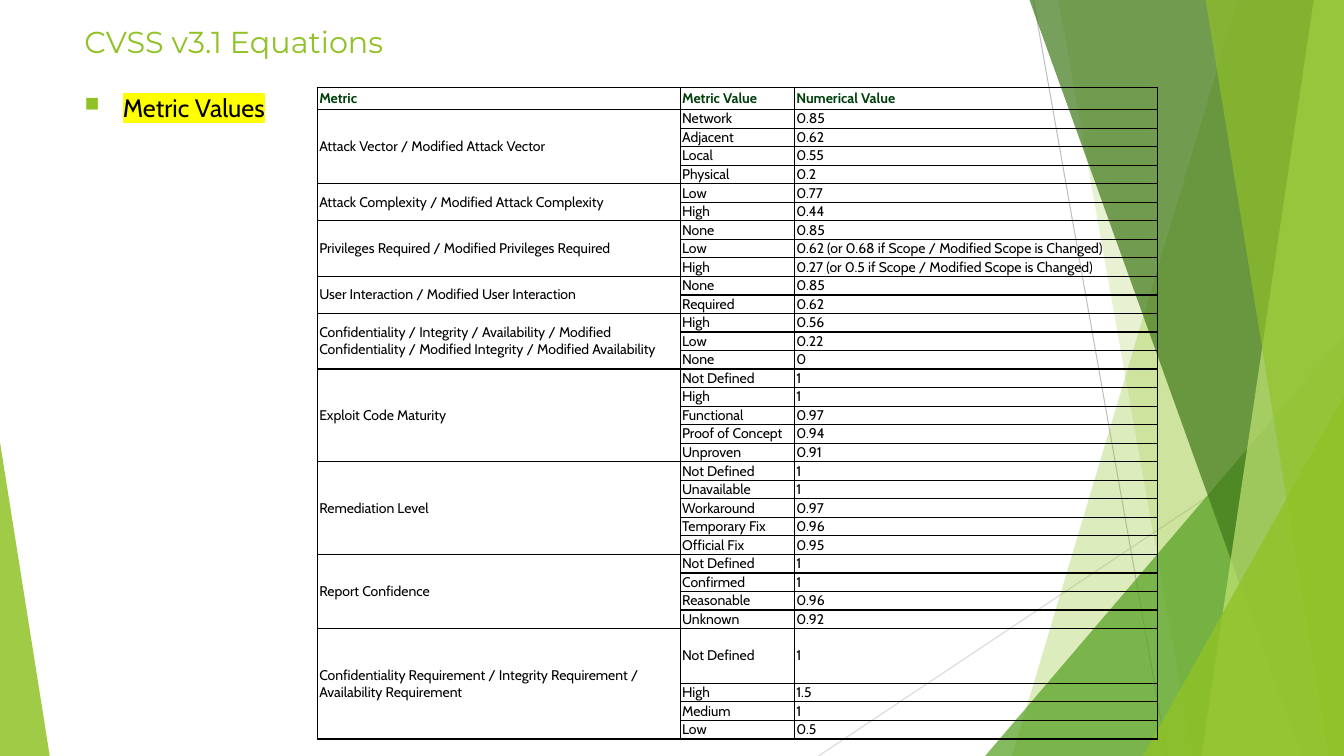
from pptx import Presentation, oxml, util as u
from pptx.dml.color import RGBColor
from pptx.enum import shapes, text
from pptx.oxml.ns import qn

LIME = RGBColor(0x90, 0xC2, 0x26)
LEAF = RGBColor(0x54, 0xA0, 0x21)
MOSS = RGBColor(0x3F, 0x78, 0x19)
PALE = RGBColor(0xC0, 0xE4, 0x74)
PINE = RGBColor(0x00, 0x40, 0x0D)
BLACK = RGBColor(0, 0, 0)
GREY = RGBColor(0xBF, 0xBF, 0xBF)
MIST = RGBColor(0xD9, 0xD9, 0xD9)

WIDE, HIGH = u.Inches(13.33), u.Inches(7.5)
NS = 'xmlns:a="http://schemas.openxmlformats.org/drawingml/2006/main"'

HEADS = ("Metric", "Metric Value", "Numerical Value")
METRICS = [
    ("Attack Vector / Modified Attack Vector",
     [("Network", "0.85"), ("Adjacent", "0.62"), ("Local", "0.55"), ("Physical", "0.2")]),
    ("Attack Complexity / Modified Attack Complexity",
     [("Low", "0.77"), ("High", "0.44")]),
    ("Privileges Required / Modified Privileges Required",
     [("None", "0.85"),
      ("Low", "0.62 (or 0.68 if Scope / Modified Scope is Changed)"),
      ("High", "0.27 (or 0.5 if Scope / Modified Scope is Changed)")]),
    ("User Interaction / Modified User Interaction",
     [("None", "0.85"), ("Required", "0.62")]),
    ("Confidentiality / Integrity / Availability / Modified Confidentiality / "
     "Modified Integrity / Modified Availability",
     [("High", "0.56"), ("Low", "0.22"), ("None", "0")]),
    ("Exploit Code Maturity",
     [("Not Defined", "1"), ("High", "1"), ("Functional", "0.97"),
      ("Proof of Concept", "0.94"), ("Unproven", "0.91")]),
    ("Remediation Level",
     [("Not Defined", "1"), ("Unavailable", "1"), ("Workaround", "0.97"),
      ("Temporary Fix", "0.96"), ("Official Fix", "0.95")]),
    ("Report Confidence",
     [("Not Defined", "1"), ("Confirmed", "1"), ("Reasonable", "0.96"), ("Unknown", "0.92")]),
    ("Confidentiality Requirement / Integrity Requirement / Availability Requirement",
     [("Not Defined", "1"), ("High", "1.5"), ("Medium", "1"), ("Low", "0.5")]),
]


# Lengths in percent of the slide
def across(part):
    return u.Emu(round(WIDE * part / 100))


def down(part):
    return u.Emu(round(HIGH * part / 100))


def node(xml):
    return oxml.parse_xml(xml)


def paint(shape, color, alpha):
    shape.shadow.inherit = False
    shape.line.fill.background()
    shape.fill.solid()
    shape.fill.fore_color.rgb = color
    tint = shape.fill._xPr.find(".//" + qn("a:srgbClr"))
    tint.append(node(f'<a:alpha {NS} val="{alpha * 1000}"/>'))


def blade(slide, top, foot, color, alpha):
    """Fill from a slanted edge to the right side of the slide."""
    form = slide.shapes.build_freeform(across(top), 0)
    form.add_line_segments([(WIDE, 0), (WIDE, HIGH), (across(foot), HIGH)])
    paint(form.convert_to_shape(), color, alpha)


def wedge(slide, left, top, width, peak, color, alpha):
    """Right triangle standing on the foot of the slide."""
    shape = slide.shapes.add_shape(
        shapes.MSO_SHAPE.ISOSCELES_TRIANGLE,
        across(left), down(top), across(width), down(100 - top))
    shape.adjustments[0] = peak
    paint(shape, color, alpha)


def ray(slide, start, end, color):
    line = slide.shapes.add_connector(
        shapes.MSO_CONNECTOR.STRAIGHT,
        across(start[0]), down(start[1]), across(end[0]), down(end[1]))
    line.line.color.rgb = color
    line.line.width = u.Pt(0.75)
    line._element.spPr.append(node(f"<a:effectLst {NS}/>"))


def style(para, size, face, color, bold=False):
    for run in para.runs:
        font = run.font
        font.size, font.name, font.bold = u.Pt(size), face, bold
        font.color.rgb = color


def label(slide, words, left, top, width, height, size, face, color):
    box = slide.shapes.add_textbox(across(left), down(top), across(width), down(height))
    box.text_frame.word_wrap = True
    box.text_frame.text = words
    para = box.text_frame.paragraphs[0]
    style(para, size, face, color)
    return para


def bullet(para):
    props = para._p.get_or_add_pPr()
    props.set("marL", str(u.Inches(0.38)))
    props.set("indent", str(-u.Inches(0.38)))
    for xml in (f'<a:buClr {NS}><a:srgbClr val="{LIME}"/></a:buClr>',
                f'<a:buSzPct {NS} val="80000"/>', f'<a:buChar {NS} char="■"/>'):
        props.append(node(xml))


def mark(run):
    fill = run._r.rPr.find(qn("a:solidFill"))
    fill.addnext(node(f'<a:highlight {NS}><a:srgbClr val="FFFF00"/></a:highlight>'))


def frame(cell):
    """Clear fill, thin black borders and tight margins."""
    cell.fill.background()
    cell.margin_left = cell.margin_right = u.Pt(1.2)
    cell.margin_top = cell.margin_bottom = u.Pt(0.6)
    cell.vertical_anchor = text.MSO_ANCHOR.MIDDLE
    props = cell._tc.get_or_add_tcPr()
    for spot, side in enumerate("LRTB"):
        props.insert(spot, node(
            f'<a:ln{side} {NS} w="12700"><a:solidFill><a:srgbClr val="{BLACK}"/>'
            f'</a:solidFill></a:ln{side}>'))


def put(cell, words, color=BLACK, bold=False):
    cell.text = words
    style(cell.text_frame.paragraphs[0], 10, "Cabin", color, bold)


def scores(slide):
    count = 1 + sum(len(pairs) for _, pairs in METRICS)
    grid = slide.shapes.add_table(
        count, 3, across(23.63), down(11.6), across(62.5), down(86.5)).table
    grid.first_row = grid.horz_banding = False
    for col, part in zip(grid.columns, (27, 8.5, 27)):
        col.width = across(part)
    for row in grid.rows:
        row.height = down(2.4)
    grid.rows[0].height = down(2.9)
    for cell in grid.iter_cells():
        frame(cell)
    for col, words in enumerate(HEADS):
        put(grid.cell(0, col), words, PINE, True)

    # One merged metric cell beside its values
    row = 1
    for name, pairs in METRICS:
        grid.cell(row, 0).merge(grid.cell(row + len(pairs) - 1, 0))
        put(grid.cell(row, 0), name)
        for step, pair in enumerate(pairs):
            for col, words in enumerate(pair, 1):
                put(grid.cell(row + step, col), words)
        row += len(pairs)
    grid.rows[count - len(METRICS[-1][1])].height = down(7.25)


def main():
    deck = Presentation()
    deck.slide_width, deck.slide_height = WIDE, HIGH
    slide = deck.slides.add_slide(deck.slide_layouts[6])

    # Green backdrop
    ray(slide, (76.9, 0), (86.85, 100), GREY)
    ray(slide, (100, 53.7), (60.9, 100), MIST)
    blade(slide, 92.1, 75.3, LIME, 30)
    blade(slide, 78.75, 88.75, LIME, 20)
    wedge(slide, 73.3, 44.4, 26.7, 1, LEAF, 72)
    blade(slide, 76.6, 96.85, MOSS, 70)
    blade(slide, 97.75, 89.4, PALE, 70)
    blade(slide, 89.7, 98.85, LIME, 65)
    wedge(slide, 85.05, 52.4, 14.95, 1, LIME, 80)
    wedge(slide, 0, 58.5, 3.7, 0, LIME, 85)

    # Heading and topic
    label(slide, "CVSS v3.1 Equations", 5.55, 2.4, 70.5, 6.3, 21.6, "Montserrat", LIME)
    topic = label(slide, "Metric Values", 5.55, 11.5, 72.9, 8.8, 18, "Cabin", BLACK)
    bullet(topic)
    mark(topic.runs[0])

    scores(slide)
    deck.save("out.pptx")


if __name__ == "__main__":
    main()
